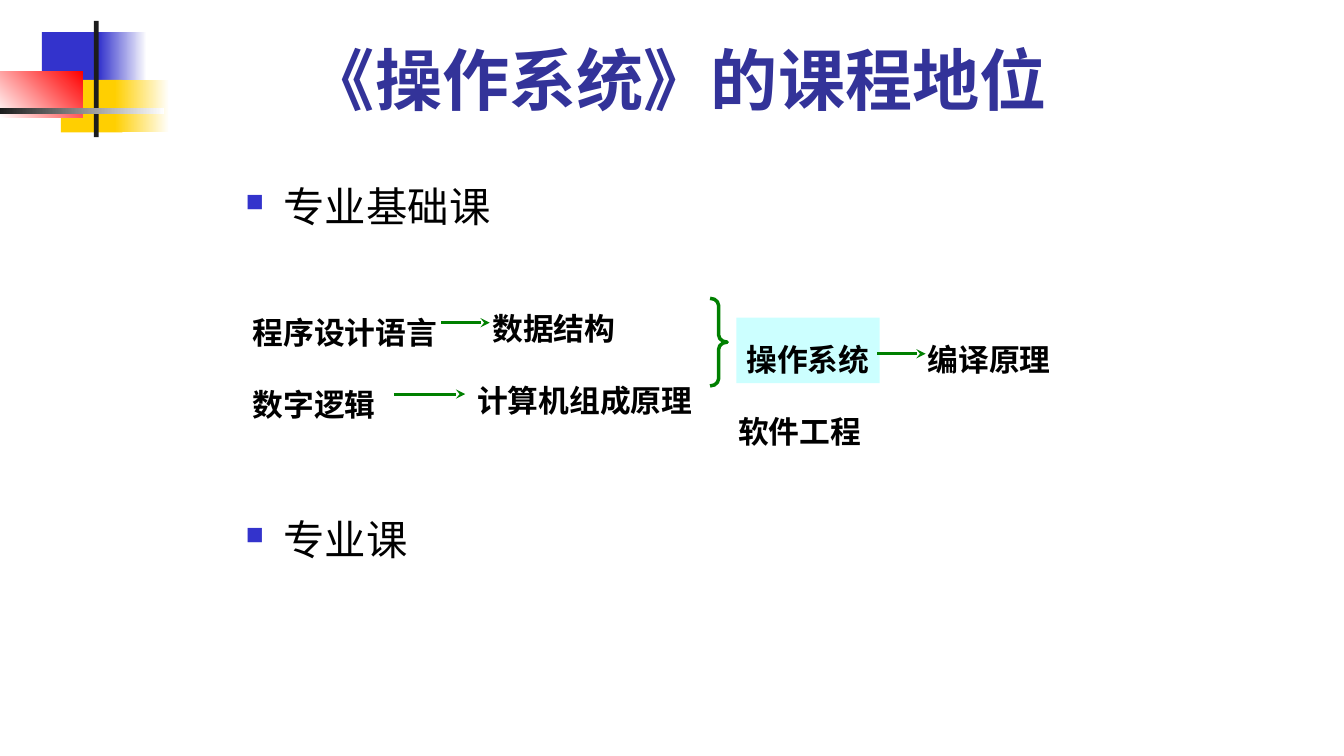
from dataclasses import dataclass

from lxml import etree
from pptx import Presentation
from pptx.dml.color import RGBColor
from pptx.enum.shapes import MSO_CONNECTOR, MSO_SHAPE
from pptx.enum.text import MSO_ANCHOR, PP_ALIGN
from pptx.oxml.ns import qn
from pptx.util import Pt

RECT = MSO_SHAPE.RECTANGLE
BRACE = MSO_SHAPE.RIGHT_BRACE
STRAIGHT = MSO_CONNECTOR.STRAIGHT
LEFT = PP_ALIGN.LEFT
TOP, BOTTOM = MSO_ANCHOR.TOP, MSO_ANCHOR.BOTTOM


@dataclass(frozen=True)
class Theme:
    font: str = "Roboto"
    title_size: float = 48
    bullet_size: float = 29.6
    label_size: float = 22
    title: str = "333399"
    text: str = "000000"
    blue: str = "3333CC"
    yellow: str = "FFCF01"
    red: str = "FF0000"
    dark: str = "1C1C1C"
    white: str = "FFFFFF"
    green: str = "008000"
    highlight: str = "CCFFFF"


THEME = Theme()


def rgb(value):
    return RGBColor.from_string(value)


def add_rect(slide, x, y, w, h, start, end=None, angle=0):
    sp = slide.shapes.add_shape(RECT, Pt(x), Pt(y), Pt(w), Pt(h))
    sp.shadow.inherit = False
    sp.line.fill.background()
    if end:
        sp.fill.gradient()
        sp.fill.gradient_angle = angle
        for stop, color, position in zip(sp.fill.gradient_stops, (start, end), (0, 1)):
            stop.color.rgb = rgb(color)
            stop.position = position
    else:
        sp.fill.solid()
        sp.fill.fore_color.rgb = rgb(start)
    return sp


def add_text(slide, box, text, size, color, bold=False, anchor=TOP, wrap=True, spacing=1.0):
    sp = slide.shapes.add_textbox(*(Pt(v) for v in box))
    tf = sp.text_frame
    tf.word_wrap = wrap
    tf.vertical_anchor = anchor
    p = tf.paragraphs[0]
    p.text = text
    p.alignment = LEFT
    p.line_spacing = spacing
    p.font.name = THEME.font
    p.font.size = Pt(size)
    p.font.bold = bold
    p.font.color.rgb = rgb(color)
    return p


def add_arrow(slide, x1, x2, y):
    line = slide.shapes.add_connector(STRAIGHT, Pt(x1), Pt(y), Pt(x2), Pt(y))
    line.line.color.rgb = rgb(THEME.green)
    line.line.width = Pt(2.25)
    etree.SubElement(line.line._get_or_add_ln(), qn("a:tailEnd"), type="stealth")
    etree.SubElement(line._element.spPr, qn("a:effectLst"))


def draw_ornament(slide, x, y):
    t = THEME
    for dx, dy, w, h, *colors in (
        (30, 8, 46, 37.5, t.blue),
        (70.5, 8, 34.5, 37.5, t.blue, t.white),
        (43.5, 42, 44, 37.5, t.yellow),
        (82, 42, 39, 37.5, t.yellow, t.white),
        (0, 36, 59, 33, t.white, t.red, 45),
        (67, 0, 3.5, 83, t.dark),
        (0, 62, 117.5, 4.5, t.dark, t.white),
    ):
        add_rect(slide, x + dx, y + dy, w, h, *colors)


def draw_title(slide, box, text):
    add_text(slide, box, text, THEME.title_size, THEME.title, bold=True, anchor=BOTTOM)


def draw_bullet(slide, box, text):
    p = add_text(slide, box, text, THEME.bullet_size, THEME.text, spacing=1.4)
    pPr = p._p.get_or_add_pPr()
    pPr.set("marL", str(Pt(27)))
    pPr.set("indent", str(-Pt(27)))
    marker = [etree.Element(qn(tag)) for tag in ("a:buClr", "a:buSzPct", "a:buChar")]
    etree.SubElement(marker[0], qn("a:srgbClr"), val=THEME.blue)
    marker[1].set("val", "60000")
    marker[2].set("char", "■")
    position = list(pPr).index(pPr.find(qn("a:lnSpc"))) + 1
    pPr[position:position] = marker


def draw_course_flow(slide, x, y):
    row_pitch, label_height = 51.1, 46.8
    for dx, dy, row, text, color in (
        (0, 2.9, 0, "程序设计语言", None),
        (171.4, 0, 0, "数据结构", None),
        (0, 2.9, 1, "数字逻辑", None),
        (160.5, 0, 1, "计算机组成原理", None),
        (352.8, 22.3, 0, "操作系统", THEME.highlight),
        (482.4, 22.3, 0, "编译原理", None),
        (347, 22.3, 1, "软件工程", None),
    ):
        width = len(text) * THEME.label_size + 14.4
        box = (x + dx, y + dy + row * row_pitch, width, label_height)
        if color:
            add_rect(slide, *box, color)
        add_text(slide, box, text, THEME.label_size, THEME.text,
                 bold=True, wrap=False, spacing=1.5)

    for start, end, dy in ((142, 176.5, 26), (108, 159, 77), (453.5, 488, 48.2)):
        add_arrow(slide, x + start, x + end, y + dy)

    brace = slide.shapes.add_shape(BRACE, Pt(x + 334), Pt(y + 8.6), Pt(12.2), Pt(62.6))
    brace.shadow.inherit = False
    brace.fill.background()
    brace.line.color.rgb = rgb(THEME.green)
    brace.line.width = Pt(2.5)
    brace.adjustments[0] = 0.42


def main():
    prs = Presentation()
    prs.slide_width, prs.slide_height = Pt(960.5), Pt(540)
    slide = prs.slides.add_slide(prs.slide_layouts[6])
    draw_ornament(slide, 0, 15)
    draw_title(slide, (213, 15, 613.5, 73.5), "《操作系统》的课程地位")
    for y, text in ((111.6, "专业基础课"), (349.2, "专业课")):
        draw_bullet(slide, (168.5, y, 641, 57), text)
    draw_course_flow(slide, 173.5, 204.5)
    prs.save("out.pptx")


if __name__ == "__main__":
    main()
